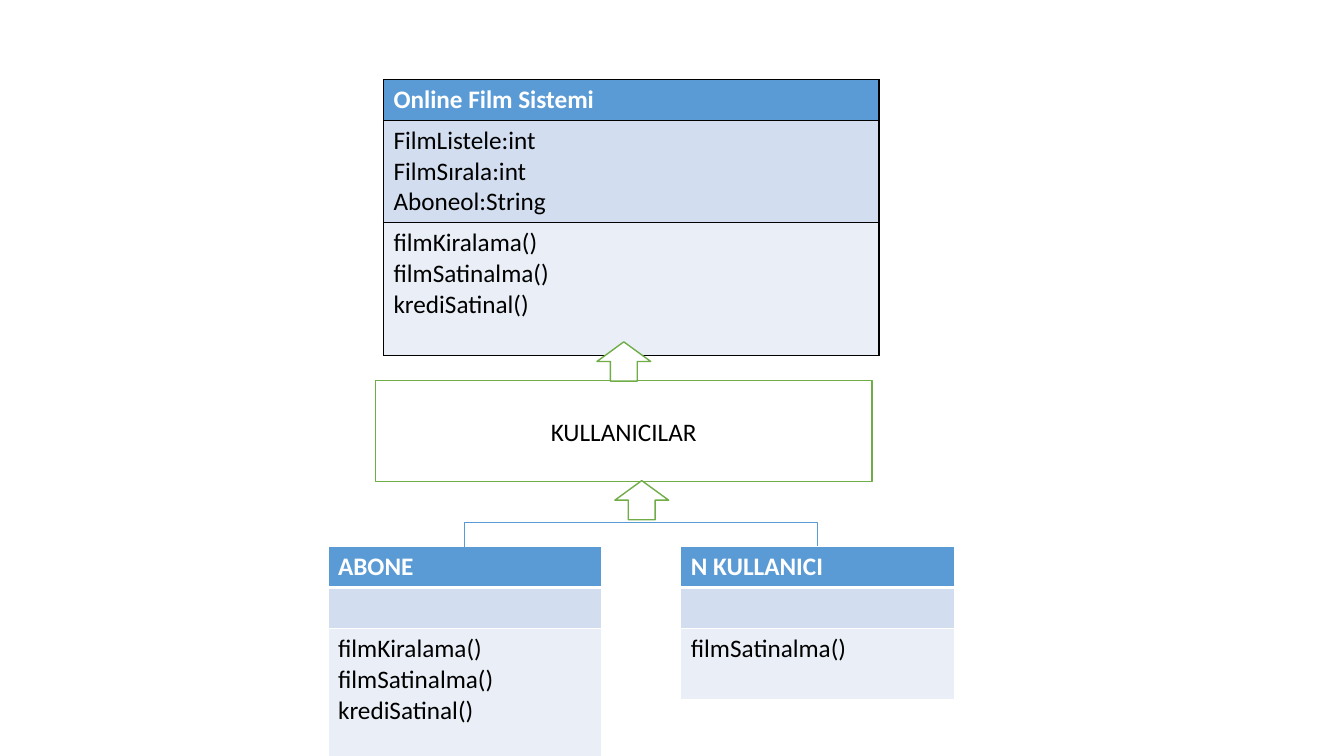
from dataclasses import dataclass
from lxml.etree import SubElement
from pptx import Presentation
from pptx.dml.color import RGBColor as RGB
from pptx.enum.shapes import MSO_CONNECTOR as CONN, MSO_SHAPE as SHAPE
from pptx.enum.text import MSO_ANCHOR as ANCHOR, PP_ALIGN as ALIGN
from pptx.oxml import parse_xml
from pptx.oxml.ns import nsdecls, qn
from pptx.util import Pt


@dataclass(frozen=True)
class Theme:
    font: str = "Calibri"
    size: float = 18
    header: str = "5B9BD5"
    attributes: str = "D2DEEF"
    methods: str = "EAEFF7"
    green: str = "70AD47"
    white: str = "FFFFFF"
    black: str = "000000"
    thin: float = 0.5
    line: float = 1
    thick: float = 3


T = Theme()


def write(tf, lines, color, bold=False, align=ALIGN.LEFT):
    """Fill a text frame with one paragraph per line."""
    for i, line in enumerate(lines):
        p = tf.paragraphs[0] if i == 0 else tf.add_paragraph()
        p.alignment = align
        p.font.size = Pt(T.size)
        if line:
            r = p.add_run()
            r.text = line
            style = {"name": T.font, "size": Pt(T.size), "bold": bold}
            for key, value in style.items():
                setattr(r.font, key, value)
            r.font.color.rgb = RGB.from_string(color)


def set_borders(cell, color, widths):
    """Draw cell borders; widths are for left, right, top and bottom."""
    tc_pr = cell._tc.get_or_add_tcPr()
    for i, (side, width) in enumerate(zip("LRTB", widths)):
        tc_pr.insert(i, parse_xml(
            f'<a:ln{side} {nsdecls("a")} w="{Pt(width)}"><a:solidFill>'
            f'<a:srgbClr val="{color}"/></a:solidFill></a:ln{side}>'))


def add_class(s, x, y, w, heights, parts, border, rule):
    """Class box: name, attributes and methods, with a rule under the name."""
    tbl = s.shapes.add_table(3, 1, Pt(x), Pt(y), Pt(w), Pt(sum(heights))).table
    tbl.columns[0].width = Pt(w)
    fills = (T.header, T.attributes, T.methods)
    edges = (T.line, rule, T.line, T.line)
    for i, (lines, height, fill) in enumerate(zip(parts, heights, fills)):
        tbl.rows[i].height = Pt(height)
        cell = tbl.cell(i, 0)
        cell.fill.solid()
        cell.fill.fore_color.rgb = RGB.from_string(fill)
        set_borders(cell, border, (T.line, T.line, edges[i], edges[i + 1]))
        write(cell.text_frame, lines, T.black if i else T.white, bold=i == 0)


def add_outlined(s, kind, x, y, w, h, text=None):
    """White shape with a green outline."""
    sp = s.shapes.add_shape(kind, Pt(x), Pt(y), Pt(w), Pt(h))
    sp.shadow.inherit = False
    sp.fill.solid()
    sp.fill.fore_color.rgb = RGB.from_string(T.white)
    sp.line.color.rgb = RGB.from_string(T.green)
    sp.line.width = Pt(T.line)
    if text:
        sp.text_frame.vertical_anchor = ANCHOR.MIDDLE
        write(sp.text_frame, [text], T.black, align=ALIGN.CENTER)


def add_bracket(s, left, right, y, rise):
    """Elbow connector, turned a quarter, that rises between two box tops."""
    cx, half = (left + right) / 2, (right - left) / 2
    cn = s.shapes.add_connector(CONN.ELBOW, Pt(cx + 0.5), Pt(y + half),
                                Pt(cx - 0.5), Pt(y - half))
    cn.line.color.rgb = RGB.from_string(T.header)
    cn.line.width = Pt(T.thin)
    sp_pr = cn._element.spPr
    sp_pr.find(qn("a:xfrm")).set("rot", str(90 * 60000))
    # The unrotated connector is 1 pt wide, so the rise is a multiple of it
    guides = sp_pr.find(qn("a:prstGeom")).find(qn("a:avLst"))
    SubElement(guides, qn("a:gd"), name="adj1", fmla=f"val {rise * 100000}")
    SubElement(sp_pr, qn("a:effectLst"))


def main():
    prs = Presentation()
    prs.slide_width, prs.slide_height = Pt(960), Pt(540)
    s = prs.slides.add_slide(prs.slide_layouts[6])

    # System class and its users
    methods = ["filmKiralama()", "filmSatinalma()", "krediSatinal()"]
    attributes = ["FilmListele:int", "FilmSırala:int", "Aboneol:String"]
    add_class(s, 273.9, 56.8, 354, (29.2, 72.8, 95),
              (["Online Film Sistemi"], attributes, methods), T.black, T.line)
    add_outlined(s, SHAPE.RECTANGLE, 268.3, 272, 354.5, 72, "KULLANICILAR")

    # Kinds of user, side by side
    top, width = 390.5, 195.5
    users = (("ABONE", 234.3, methods, 92),
             ("N KULLANICI", 486.3, methods[1:2], 51))
    for name, x, calls, height in users:
        add_class(s, x, top, width, (29.2, 29.2, height),
                  ([name], [""], calls), T.white, T.thick)

    # Inheritance arrows and the bracket over the user kinds
    for x, y in ((426.4, 244.2), (439.2, 343.3)):
        add_outlined(s, SHAPE.UP_ARROW, x, y, 38.4, 28)
    centers = [x + width / 2 for _, x, _, _ in users]
    add_bracket(s, *centers, top, 18)

    prs.save("out.pptx")


main()
